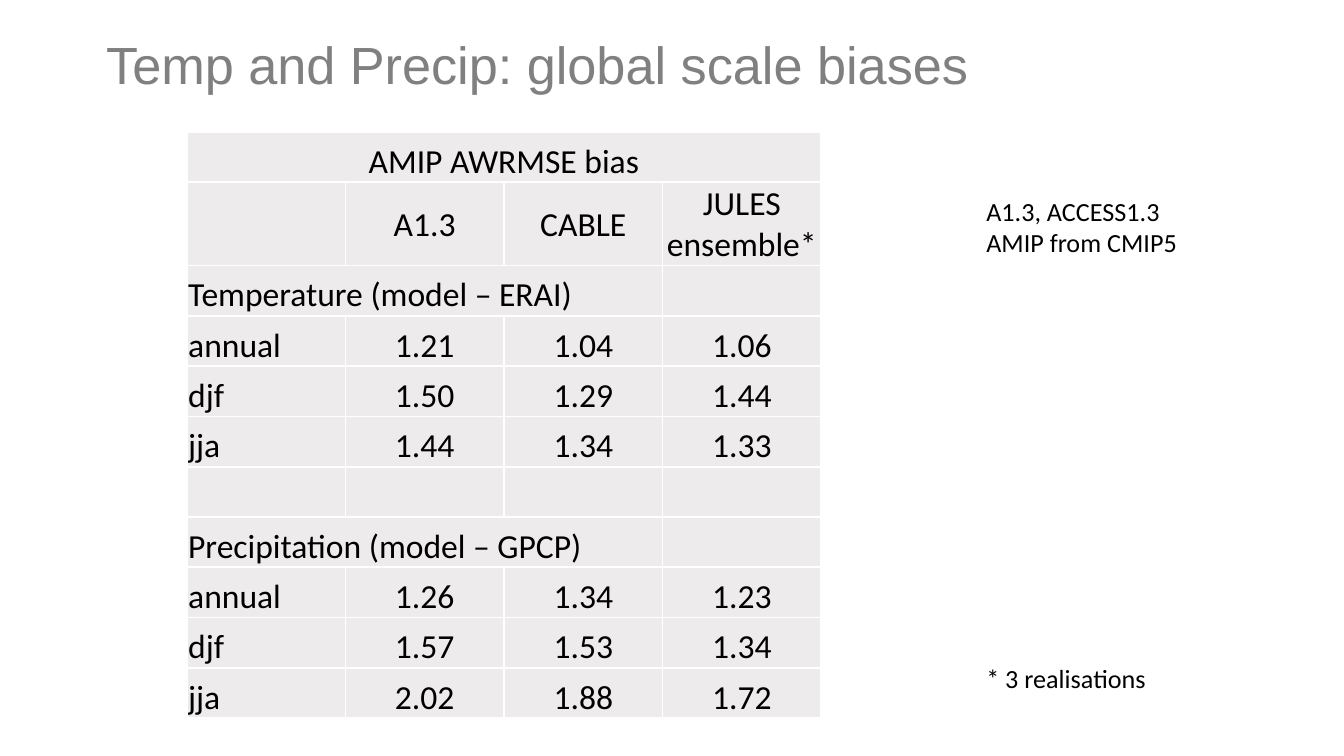
from dataclasses import dataclass
from typing import Any

from lxml.etree import fromstring
from pptx import Presentation
from pptx.dml.color import RGBColor
from pptx.enum.text import MSO_ANCHOR, MSO_AUTO_SIZE, PP_ALIGN
from pptx.oxml.ns import nsdecls
from pptx.util import Inches, Pt

WIDE = Inches(10)
HIGH = WIDE * 9 // 16
HUES = {"title": "808080", "text": "000000", "cell": "EEEBEC", "rule": "FFFFFF"}
HEAD = {"name": "Arial", "size": Pt(28), "bold": False}
BODY = {"name": "Calibri", "size": Pt(18), "bold": False}
NOTE = {**BODY, "size": Pt(14)}
PADS = {"margin_left": Inches(0.01), "margin_right": Inches(0.01),
        "margin_top": Inches(0.01), "margin_bottom": 0}


def part(share: float, whole: int) -> int:
    return round(share * whole / 100)


@dataclass
class Box:
    left: float
    top: float
    width: float
    height: float

    def span(self) -> tuple[int, int, int, int]:
        return (part(self.left, WIDE), part(self.top, HIGH),
                part(self.width, WIDE), part(self.height, HIGH))


@dataclass
class Note:
    text: str
    box: Box


@dataclass
class Row:
    cells: tuple[str, ...]
    join: int = 1
    tall: float = 6.65
    anchor: Any = MSO_ANCHOR.BOTTOM


TITLE = Note("Temp and Precip: global scale biases", Box(6.9, 2.1, 86.2, 13.8))
GRID = Box(13.9, 17.45, 47.2, 77.5)
ROWS = [
    Row(("AMIP AWRMSE bias", "", "", ""), join=4),
    Row(("", "A1.3", "CABLE", "JULES ensemble*"), tall=11.05,
        anchor=MSO_ANCHOR.MIDDLE),
    Row(("Temperature (model – ERAI)", "", "", ""), join=3),
    Row(("annual", "1.21", "1.04", "1.06")),
    Row(("djf", "1.50", "1.29", "1.44")),
    Row(("jja", "1.44", "1.34", "1.33")),
    Row(("", "", "", "")),
    Row(("Precipitation (model – GPCP)", "", "", ""), join=3),
    Row(("annual", "1.26", "1.34", "1.23")),
    Row(("djf", "1.57", "1.53", "1.34")),
    Row(("jja", "2.02", "1.88", "1.72")),
]
NOTES = [
    Note("* 3 realisations", Box(72.4, 86.75, 17.8, 6)),
    Note("A1.3, ACCESS1.3 AMIP from CMIP5", Box(72.4, 24.95, 17.8, 10.15)),
]


def apply(item: Any, look: dict[str, Any]) -> None:
    for key, value in look.items():
        setattr(item, key, value)


def write(frame: Any, text: str, look: dict[str, Any], hue: str) -> Any:
    para = frame.paragraphs[0]
    if text:
        para.add_run().text = text
    for font in [para.font, *(run.font for run in para.runs)]:
        apply(font, look)
        font.color.rgb = RGBColor.from_string(HUES[hue])
    return para


def edge(cell: Any) -> None:
    props = cell._tc.get_or_add_tcPr()
    for spot, side in enumerate("LRTB"):
        props.insert(spot, fromstring(
            f'<a:ln{side} {nsdecls("a")} w="12700"><a:solidFill>'
            f'<a:srgbClr val="{HUES["rule"]}"/></a:solidFill></a:ln{side}>'))


def draw_title(slide: Any, note: Note) -> None:
    shape = slide.shapes.title
    apply(shape, dict(zip(("left", "top", "width", "height"), note.box.span())))
    shape.text_frame.vertical_anchor = MSO_ANCHOR.MIDDLE
    para = write(shape.text_frame, note.text, HEAD, "title")
    apply(para, {"alignment": PP_ALIGN.LEFT, "line_spacing": 0.9})


def draw_table(slide: Any, rows: list[Row], box: Box) -> None:
    count = len(rows[0].cells)
    table = slide.shapes.add_table(len(rows), count, *box.span()).table
    apply(table, {"first_row": False, "horz_banding": False})
    for down, row in enumerate(rows):
        table.rows[down].height = part(row.tall, HIGH)
        for across, text in enumerate(row.cells):
            cell = table.cell(down, across)
            apply(cell, {**PADS, "vertical_anchor": row.anchor})
            cell.fill.solid()
            cell.fill.fore_color.rgb = RGBColor.from_string(HUES["cell"])
            edge(cell)
            para = write(cell.text_frame, text, BODY, "text")
            mid = across > 0 or row.join == count
            para.alignment = PP_ALIGN.CENTER if mid else PP_ALIGN.LEFT
        if row.join > 1:
            table.cell(down, 0).merge(table.cell(down, row.join - 1))


def draw_note(slide: Any, note: Note) -> None:
    frame = slide.shapes.add_textbox(*note.box.span()).text_frame
    apply(frame, {"word_wrap": True, "auto_size": MSO_AUTO_SIZE.SHAPE_TO_FIT_TEXT})
    write(frame, note.text, NOTE, "text")


def main() -> None:
    deck = Presentation()
    apply(deck, {"slide_width": WIDE, "slide_height": HIGH})
    slide = deck.slides.add_slide(deck.slide_layouts.get_by_name("Title Only"))
    draw_title(slide, TITLE)
    draw_table(slide, ROWS, GRID)
    for note in NOTES:
        draw_note(slide, note)
    deck.save("out.pptx")


if __name__ == "__main__":
    main()
